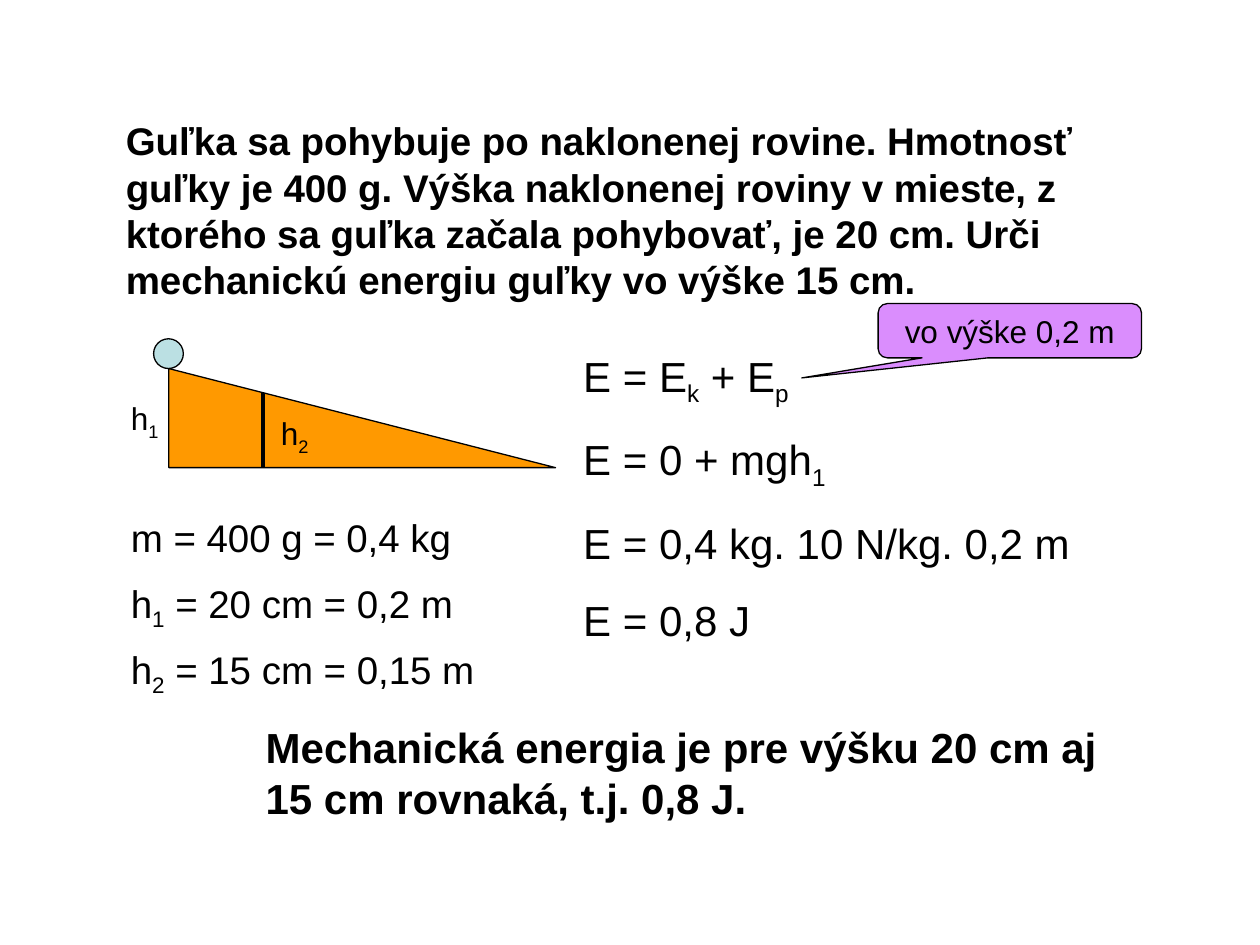
"""Build a physics slide on the mechanical energy of a marble on an inclined plane."""
from lxml.etree import SubElement
from pptx import Presentation
from pptx.dml.color import RGBColor
from pptx.enum.shapes import MSO_CONNECTOR as Connector, MSO_SHAPE as Shape
from pptx.enum.text import MSO_ANCHOR as Anchor, PP_ALIGN as Align
from pptx.oxml.ns import qn
from pptx.util import Pt

COLORS = {"ink": "000000", "plane": "FF9900", "marble": "BBE0E3", "callout": "DA8DFD"}
FONT = "Arial"
SLIDE_SIZE = (720, 540)

# Text between underscores is subscript.
TASK = (
    "Guľka sa pohybuje po naklonenej rovine. Hmotnosť guľky je 400 g. "
    "Výška naklonenej roviny v mieste, z ktorého sa guľka začala pohybovať, "
    "je 20 cm. Urči mechanickú energiu guľky vo výške 15 cm."
)
SOLUTION = ["E = E_k_ + E_p_", "E = 0 + mgh_1_", "E = 0,4 kg. 10 N/kg. 0,2 m", "E = 0,8 J"]
GIVEN = ["m = 400 g = 0,4 kg", "h_1_ = 20 cm = 0,2 m", "h_2_ = 15 cm = 0,15 m"]
ANSWER = "Mechanická energia je pre výšku 20 cm aj 15 cm rovnaká, t.j. 0,8 J."

TEXT_BOXES = [
    {"at": (64.8, 60.5, 583.9, 118.8), "lines": [TASK], "size": 22, "bold": True,
     "anchor": Anchor.MIDDLE},
    {"at": (326.2, 196.6, 300.2, 175.7), "lines": SOLUTION, "size": 24, "gap": 15},
    {"at": (67.7, 224.6, 36.7, 31.7), "lines": ["h_1_"], "size": 18},
    {"at": (153.4, 233.3, 36.7, 31.7), "lines": ["h_2_"], "size": 18},
    {"at": (144.7, 409, 507.6, 64.8), "lines": [ANSWER], "size": 24, "bold": True},
    {"at": (67.7, 290.2, 238.3, 109.4), "lines": GIVEN, "size": 22, "gap": 13.8,
     "spacing": 0.8},
]
SHAPES = [
    {"kind": Shape.RIGHT_TRIANGLE, "at": (96.5, 210.6, 221, 56.6), "fill": "plane"},
    {"kind": Shape.OVAL, "at": (87.8, 193.6, 17, 17), "fill": "marble"},
    {"kind": Shape.ROUNDED_RECTANGULAR_CALLOUT, "at": (501.8, 173.5, 150.5, 31),
     "fill": "callout", "adjustments": (-0.79, 0.87, 0.17),
     "text": {"lines": ["vo výške 0,2 m"], "size": 18, "align": Align.CENTER,
              "anchor": Anchor.MIDDLE}},
]
HEIGHT_MARK = (150.5, 224.6, 150.5, 267.2)


def color(name):
    return RGBColor.from_string(COLORS[name])


def points(values):
    return [Pt(value) for value in values]


def set_line(shape, width):
    shape.line.color.rgb = color("ink")
    shape.line.width = Pt(width)


def write_text(shape, lines, size, bold=False, gap=0, spacing=None,
               align=Align.LEFT, anchor=Anchor.TOP):
    frame = shape.text_frame
    frame.word_wrap = True
    frame.vertical_anchor = anchor
    for index, line in enumerate(lines):
        paragraph = frame.add_paragraph() if index else frame.paragraphs[0]
        paragraph.alignment = align
        if index:
            paragraph.space_before = Pt(gap)
            paragraph.line_spacing = spacing
        for position, part in enumerate(line.split("_")):
            if not part:
                continue
            run = paragraph.add_run()
            run.text = part
            for name, value in {"name": FONT, "size": Pt(size), "bold": bold}.items():
                setattr(run.font, name, value)
            run.font.color.rgb = color("ink")
            if position % 2:
                run._r.get_or_add_rPr().set("baseline", "-25000")


def add_shape(slide, kind, at, fill, adjustments=(), text=None):
    shape = slide.shapes.add_shape(kind, *points(at))
    shape.shadow.inherit = False
    shape.fill.solid()
    shape.fill.fore_color.rgb = color(fill)
    set_line(shape, 0.75)
    for index, value in enumerate(adjustments):
        shape.adjustments[index] = value
    if text:
        write_text(shape, **text)


def main():
    presentation = Presentation()
    presentation.slide_width, presentation.slide_height = points(SLIDE_SIZE)
    slide = presentation.slides.add_slide(presentation.slide_layouts[6])
    for item in SHAPES:
        add_shape(slide, **item)
    mark = slide.shapes.add_connector(Connector.STRAIGHT, *points(HEIGHT_MARK))
    set_line(mark, 2.25)
    SubElement(mark._element.spPr, qn("a:effectLst"))
    for item in TEXT_BOXES:
        style = {key: value for key, value in item.items() if key != "at"}
        write_text(slide.shapes.add_textbox(*points(item["at"])), **style)
    presentation.save("out.pptx")


if __name__ == "__main__":
    main()
